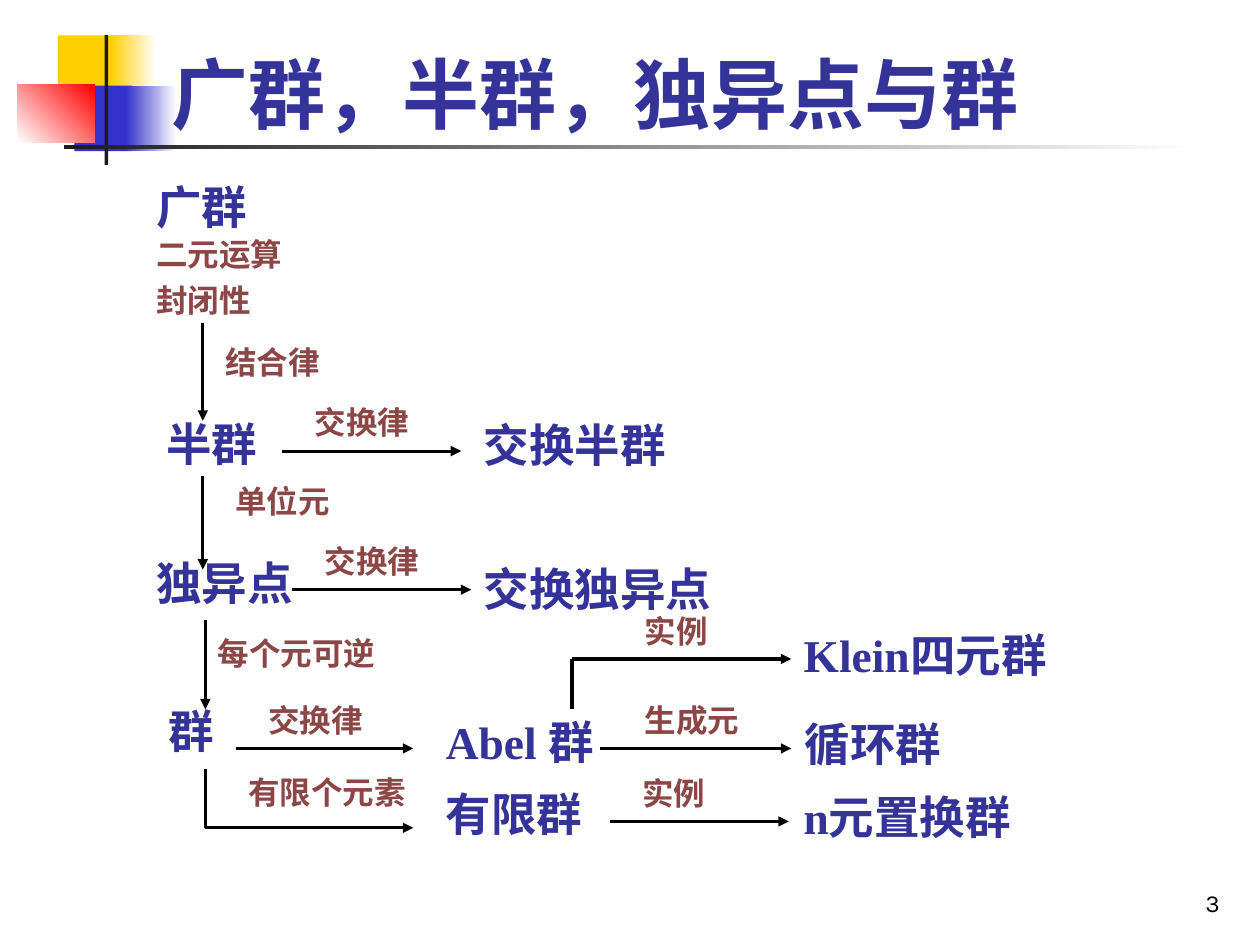
from lxml.etree import SubElement
from pptx import Presentation
from pptx.dml.color import RGBColor
from pptx.enum.lang import MSO_LANGUAGE_ID
from pptx.enum.shapes import MSO_CONNECTOR, MSO_SHAPE
from pptx.enum.text import MSO_ANCHOR, MSO_AUTO_SIZE, PP_ALIGN
from pptx.oxml.ns import qn
from pptx.util import Inches, Pt

CELL = 0.1  # inches: the slide is a grid of 100 columns by 75 rows
COLUMNS, ROWS = 100, 75
SANS, SERIF = "Karla", "Times New Roman"
INDIGO, BROWN, BLACK, WHITE = "333399", "8C4646", "000000", "FFFFFF"
YELLOW, BLUE, RED, CHARCOAL = "FFCF01", "3333CC", "FF0000", "1C1C1C"

TITLE_STYLE = {"name": SANS, "size": Pt(44), "bold": True}
TERM_STYLE = {"size": Pt(26), "bold": True}
LABEL_STYLE = {"name": SERIF, "size": Pt(18), "bold": True}
NUMBER_STYLE = {"name": SANS, "size": Pt(14), "bold": False}

# column, row, width, height, colours from start to end, angle
ORNAMENTS = [
    (4.6, 2.8, 4.8, 5.2, [YELLOW], 0),
    (8.8, 2.8, 3.6, 5.2, [YELLOW, WHITE], 0),
    (5.9, 6.8, 4.6, 5.2, [BLUE], 0),
    (10, 6.8, 4, 5.2, [BLUE, WHITE], 0),
    (1.4, 6.7, 6.1, 4.6, [WHITE, RED], 45),
    (8.3, 2.8, 0.3, 10.3, [CHARCOAL], 0),
    (5.1, 11.5, 90, 0.3, [CHARCOAL, WHITE], 0),
]

# column, row, width, serif part, sans part
TERMS = [
    (11.4, 13.7, 13.4, "", "广群"),
    (12.2, 32.5, 11, "", "半群"),
    (11.4, 43.6, 14.2, "", "独异点"),
    (12.4, 55.3, 7.1, "", "群"),
    (37.4, 32.6, 18.9, "交换半", "群"),
    (37.4, 44, 24.4, "交换独异点", ""),
    (34.4, 56.2, 15.7, "Abel ", "群"),
    (34.4, 61.9, 15.7, "", "有限群"),
    (62.8, 49.3, 22.8, "Klein", "四元群"),
    (62.9, 56.3, 15.7, "", "循环群"),
    (62.8, 62.1, 22, "n", "元置换群"),
]

# column, row, lines
LABELS = [
    (11.4, 18.5, ["二元运算", "封闭性"]),
    (16.9, 27.1, ["结合律"]),
    (24, 31.8, ["交换律"]),
    (17.7, 38.1, ["单位元"]),
    (24.8, 42.9, ["交换律"]),
    (16.3, 50.2, ["每个元可逆"]),
    (20.3, 55.5, ["交换律"]),
    (18.7, 61.2, ["有限个元素"]),
    (50.2, 48.4, ["实例"]),
    (50.2, 55.5, ["生成元"]),
    (50, 61.3, ["实例"]),
]

# corner points of each route; the last stretch ends in an arrowhead
ROUTES = [
    [(16.1, 25.6), (16.1, 33.4)],
    [(16.1, 37.8), (16.1, 45.2)],
    [(16.3, 49.2), (16.3, 56.3)],
    [(22.4, 35.8), (36.6, 35.8)],
    [(23.2, 46.8), (37.4, 46.8)],
    [(18.7, 59.4), (32.8, 59.4)],
    [(16.3, 61), (16.3, 65.7), (32.8, 65.7)],
    [(47.6, 59.4), (62.8, 59.4)],
    [(45.4, 56.3), (45.4, 52.3), (62.8, 52.3)],
    [(48.4, 65.2), (62.6, 65.2)],
]


def grid(*cells):
    return [Inches(cell * CELL) for cell in cells]


def rgb(colour):
    return RGBColor.from_string(colour)


def add_run(paragraph, text, colour, style):
    run = paragraph.add_run()
    run.text = text
    for attribute, value in style.items():
        setattr(run.font, attribute, value)
    run.font.language_id = MSO_LANGUAGE_ID.SIMPLIFIED_CHINESE
    run.font.color.rgb = rgb(colour)


def add_text_frame(slide, column, row, width, height):
    frame = slide.shapes.add_textbox(*grid(column, row, width, height)).text_frame
    frame.word_wrap = True
    return frame


def add_ornament(slide, column, row, width, height, colours, angle):
    block = slide.shapes.add_shape(
        MSO_SHAPE.RECTANGLE, *grid(column, row, width, height))
    block.shadow.inherit = False
    block.line.fill.background()
    if len(colours) == 1:
        block.fill.solid()
        block.fill.fore_color.rgb = rgb(colours[0])
        return
    block.fill.gradient()
    block.fill.gradient_angle = angle
    for stop, colour in zip(block.fill.gradient_stops, colours):
        stop.color.rgb = rgb(colour)


def set_title(slide, text):
    """Fill the title placeholder and bring it in front of the ornaments."""
    title = slide.shapes.title
    title.left, title.top, title.width, title.height = grid(12.6, 0.8, 85.2, 10.7)
    frame = title.text_frame
    frame.auto_size = MSO_AUTO_SIZE.NONE
    frame.vertical_anchor = MSO_ANCHOR.BOTTOM
    frame.paragraphs[0].alignment = PP_ALIGN.LEFT
    add_run(frame.paragraphs[0], text, INDIGO, TITLE_STYLE)
    slide.shapes._spTree.append(title._element)


def add_term(slide, column, row, width, serif_part, sans_part):
    paragraph = add_text_frame(slide, column, row, width, 5.4).paragraphs[0]
    for text, font in ((serif_part, SERIF), (sans_part, SANS)):
        if text:
            add_run(paragraph, text, INDIGO, {"name": font, **TERM_STYLE})


def add_label(slide, column, row, lines):
    width = 16.5 if len(lines[0]) > 4 else 13.4
    frame = add_text_frame(slide, column, row, width, 3.7 * len(lines))
    for index, line in enumerate(lines):
        paragraph = frame.add_paragraph() if index else frame.paragraphs[0]
        paragraph.line_spacing = 0.9
        if index:
            paragraph.space_before = Pt(6.8)
        add_run(paragraph, line, BROWN, LABEL_STYLE)


def add_route(slide, points):
    for start, end in zip(points, points[1:]):
        stretch = slide.shapes.add_connector(
            MSO_CONNECTOR.STRAIGHT, *grid(*start, *end))
        stretch.line.width = Pt(1.75)
        stretch.line.color.rgb = rgb(BLACK)
        SubElement(stretch._element.spPr, qn("a:effectLst"))
    SubElement(stretch.line._get_or_add_ln(), qn("a:tailEnd"), type="triangle")


def add_page_number(slide, number):
    frame = add_text_frame(slide, 77, 68.3, 20.8, 5)
    frame.vertical_anchor = MSO_ANCHOR.BOTTOM
    frame.paragraphs[0].alignment = PP_ALIGN.RIGHT
    add_run(frame.paragraphs[0], number, BLACK, NUMBER_STYLE)


def main():
    deck = Presentation()
    deck.slide_width, deck.slide_height = grid(COLUMNS, ROWS)
    slide = deck.slides.add_slide(deck.slide_layouts.get_by_name("Title Only"))
    for ornament in ORNAMENTS:
        add_ornament(slide, *ornament)
    add_page_number(slide, "3")
    set_title(slide, "广群，半群，独异点与群")
    for term in TERMS:
        add_term(slide, *term)
    for label in LABELS:
        add_label(slide, *label)
    for route in ROUTES:
        add_route(slide, route)
    deck.save("out.pptx")


if __name__ == "__main__":
    main()
